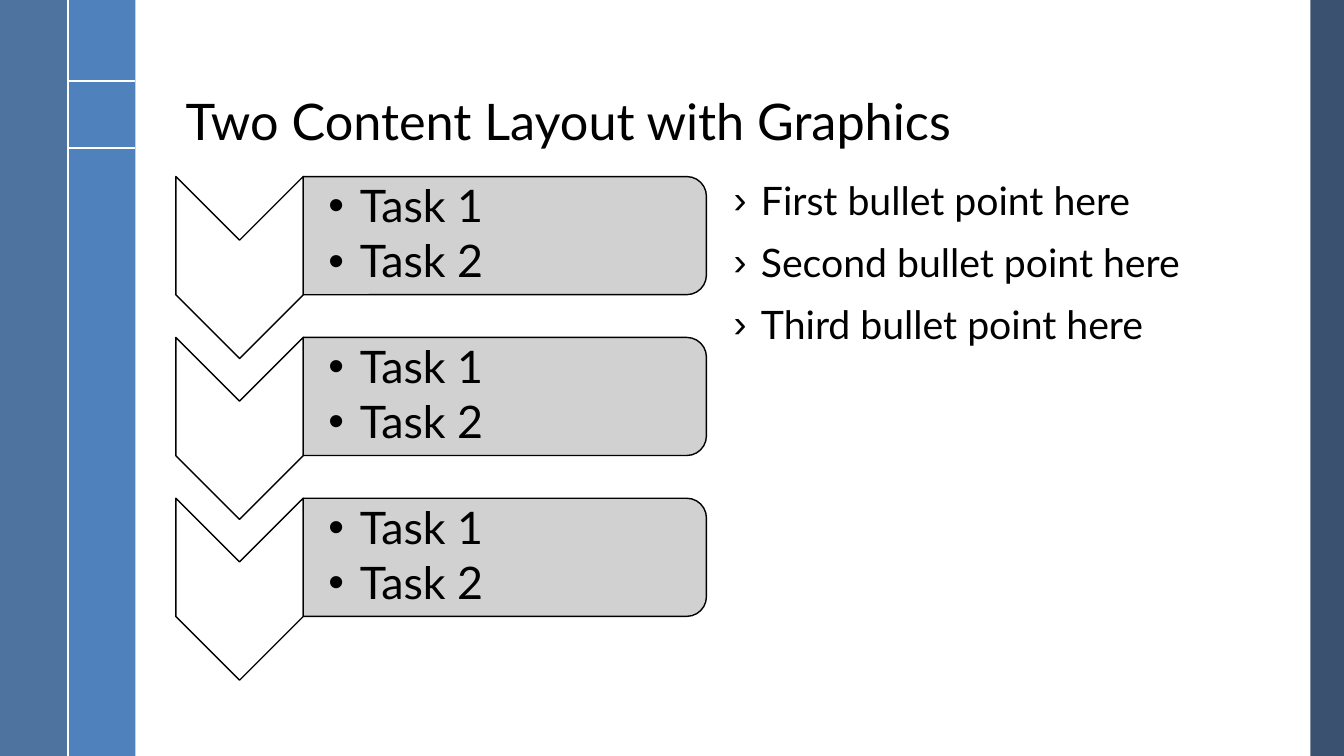
from lxml import etree
from pptx import Presentation
from pptx.dml.color import RGBColor
from pptx.enum.shapes import MSO_CONNECTOR, MSO_SHAPE
from pptx.enum.text import MSO_ANCHOR
from pptx.oxml.ns import qn
from pptx.util import Pt

STRAIGHT = MSO_CONNECTOR.STRAIGHT
RECTANGLE = MSO_SHAPE.RECTANGLE
CHEVRON = MSO_SHAPE.CHEVRON
ROUNDED_TOP = MSO_SHAPE.ROUND_2_SAME_RECTANGLE
TOP, MIDDLE, BOTTOM = MSO_ANCHOR.TOP, MSO_ANCHOR.MIDDLE, MSO_ANCHOR.BOTTOM

FONT, BULLET_FONT = "Lato", "Arial"
PAGE_WIDTH, PAGE_HEIGHT = 960, 540
BLACK, WHITE = "000000", "FFFFFF"


def color(value):
    return RGBColor.from_string(value)


def add_block(page, kind, left, top, width, height, fill, opacity=100, outline=None, turned=False):
    if turned:
        left, top = left + (width - height) / 2, top + (height - width) / 2
        width, height = height, width
    block = page.shapes.add_shape(kind, Pt(left), Pt(top), Pt(width), Pt(height))
    block.rotation = 90 if turned else 0
    block.shadow.inherit = False
    block.fill.solid()
    block.fill.fore_color.rgb = color(fill)
    if opacity < 100:
        tint = block.fill._xPr.find(".//" + qn("a:srgbClr"))
        etree.SubElement(tint, qn("a:alpha"), val=str(opacity * 1000))
    if outline:
        block.line.color.rgb = color(outline)
        block.line.width = Pt(1)
    else:
        block.line.fill.background()


def add_rule(page, x1, y1, x2, y2):
    rule = page.shapes.add_connector(STRAIGHT, Pt(x1), Pt(y1), Pt(x2), Pt(y2))
    rule.line.color.rgb = color(WHITE)
    rule.line.width = Pt(1.5)
    etree.SubElement(rule._element.spPr, qn("a:effectLst"))


def add_text(page, lines, left, top, width, height, size, anchor=TOP, insets=(7.2, 3.6, 7.2, 3.6),
             bullet=None, indent=0, before=0, after=0):
    box = page.shapes.add_textbox(Pt(left), Pt(top), Pt(width), Pt(height))
    frame = box.text_frame
    frame.word_wrap = True
    frame.vertical_anchor = anchor
    (frame.margin_left, frame.margin_top,
     frame.margin_right, frame.margin_bottom) = map(Pt, insets)
    for index, line in enumerate(lines):
        para = frame.paragraphs[0] if index == 0 else frame.add_paragraph()
        para.line_spacing = 0.9
        para.space_before = Pt(before if index else 0)
        para.space_after = Pt(after)
        if bullet:
            properties = para._p.get_or_add_pPr()
            properties.set("marL", str(Pt(indent)))
            properties.set("indent", str(-Pt(indent)))
            etree.SubElement(properties, qn("a:buFont"), typeface=BULLET_FONT)
            etree.SubElement(properties, qn("a:buChar"), char=bullet)
        span = para.add_run()
        span.text = line
        span.font.name = FONT
        span.font.size = Pt(size)
        span.font.color.rgb = color(BLACK)


def draw_side_bands(page, width, height):
    band = 48.4
    add_block(page, RECTANGLE, width - 24, 0, 24, height, "254061", opacity=90)
    add_block(page, RECTANGLE, band, 0, band, height, "4F81BD")
    add_block(page, RECTANGLE, 0, 0, band, height, "376092", opacity=88)
    for y in (58, 105.8):
        add_rule(page, band, y, 2 * band, y)
    add_rule(page, band, 0, band, height)


def draw_task_row(page, tasks, left, top, width):
    chevron_width, chevron_height, panel_height = 91, 130, 84.4
    panel_left, panel_width = left + chevron_width, width - chevron_width
    add_block(page, CHEVRON, left, top, chevron_width, chevron_height, WHITE,
              outline=BLACK, turned=True)
    add_block(page, ROUNDED_TOP, panel_left, top, panel_width, panel_height, "CCCCCC",
              opacity=90, outline=BLACK, turned=True)
    add_text(page, tasks, panel_left, top + 4.1, panel_width - 4.1, panel_height - 8.2, 32,
             anchor=MIDDLE, insets=(18, 1.6, 1.6, 1.6), bullet="•", indent=22.5, after=4.8)


def draw_task_list(page, rows, left, top, width, pitch):
    for index, tasks in enumerate(rows):
        draw_task_row(page, tasks, left, top + index * pitch, width)


def draw_points(page, points, left, top, width, height):
    add_text(page, points, left, top, width, height, 28, bullet="›", indent=19.5, before=14)


def main():
    deck = Presentation()
    deck.slide_width, deck.slide_height = Pt(PAGE_WIDTH), Pt(PAGE_HEIGHT)
    page = deck.slides.add_slide(deck.slide_layouts[6])
    draw_side_bands(page, PAGE_WIDTH, PAGE_HEIGHT)
    add_text(page, ["Two Content Layout with Graphics"], 125.5, 13.5, 770, 98, 36, anchor=BOTTOM)
    draw_task_list(page, [["Task 1", "Task 2"]] * 3, 125.6, 126.1, 379, 114.9)
    draw_points(page, ["First bullet point here", "Second bullet point here",
                       "Third bullet point here"], 517, 126, 379.5, 360)
    deck.save("out.pptx")


if __name__ == "__main__":
    main()
